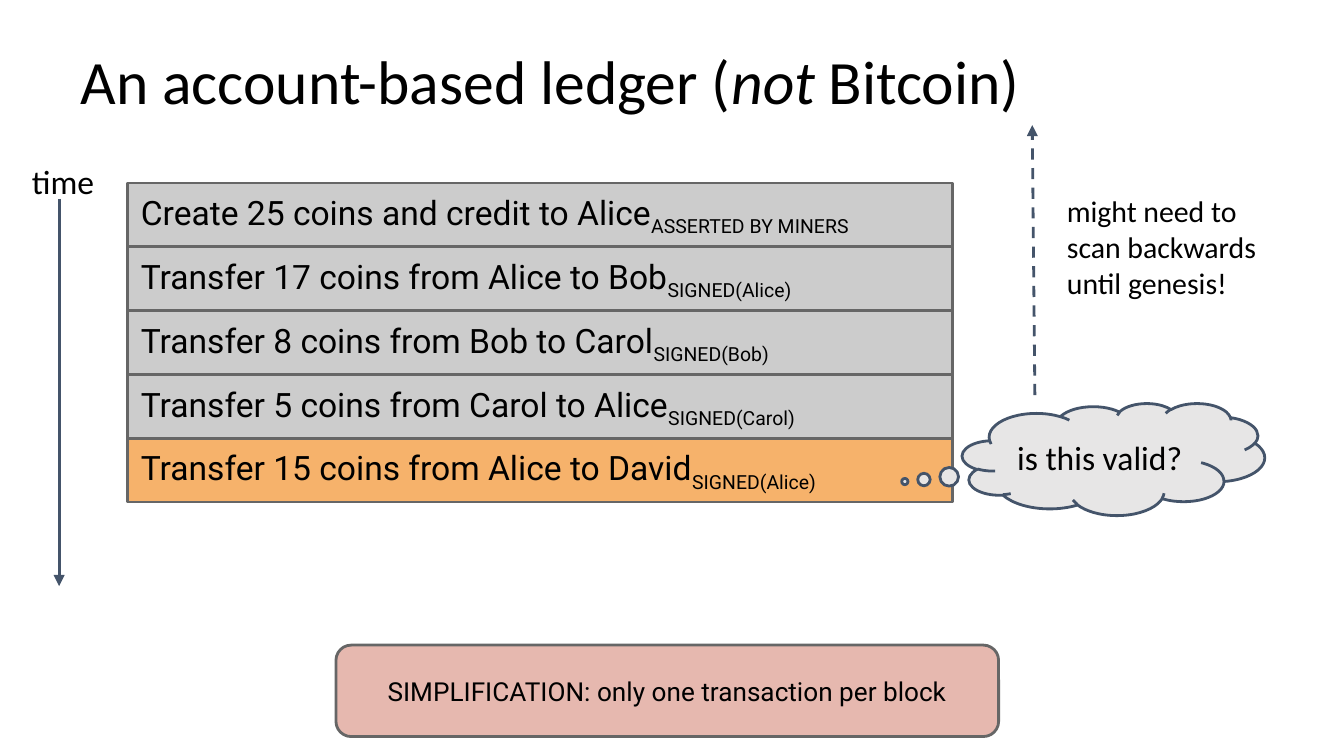
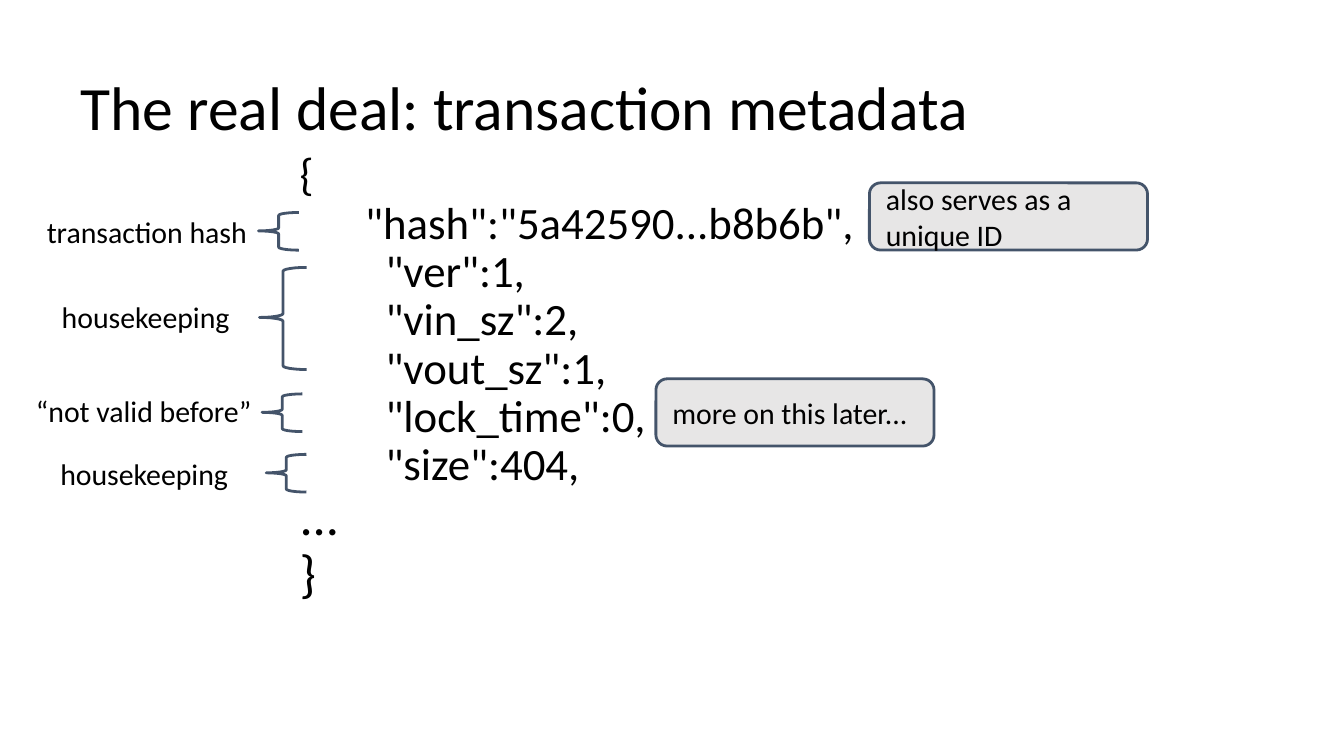
from dataclasses import dataclass
from typing import Optional

from lxml.etree import SubElement
from pptx import Presentation
from pptx.dml.color import RGBColor as Color
from pptx.enum.dml import MSO_LINE_DASH_STYLE as Dash
from pptx.enum.shapes import MSO_AUTO_SHAPE_TYPE as Preset
from pptx.enum.shapes import MSO_CONNECTOR_TYPE as Connector
from pptx.enum.text import MSO_ANCHOR as Anchor
from pptx.enum.text import MSO_AUTO_SIZE as AutoSize
from pptx.enum.text import PP_ALIGN as Align
from pptx.oxml.ns import qn
from pptx.presentation import Presentation as Deck
from pptx.shapes.autoshape import Shape
from pptx.slide import Slide
from pptx.text.text import TextFrame, _Paragraph as Paragraph
from pptx.util import Pt


@dataclass(frozen=True)
class Theme:
    text: Color = Color.from_string("000000")
    navy: Color = Color.from_string("44546A")
    border: Color = Color.from_string("666666")
    confirmed: Color = Color.from_string("CCCCCC")
    pending: Color = Color.from_string("F6B26B")
    remark: Color = Color.from_string("E6B8AF")
    bubble: Color = Color.from_string("E7E6E6")
    main_font: str = "Calibri"
    ledger_font: str = "Roboto"
    title_size: float = 33
    closing_size: float = 28
    code_size: float = 24
    large_size: float = 18
    label_size: float = 16
    remark_size: float = 14
    line_width: float = 1.5
    inset: float = 7.2
    tight_spacing: float = 0.9


THEME = Theme()


@dataclass(frozen=True)
class Area:
    left: float
    top: float
    width: float
    height: float

    def lengths(self) -> tuple[Pt, Pt, Pt, Pt]:
        return Pt(self.left), Pt(self.top), Pt(self.width), Pt(self.height)


@dataclass(frozen=True)
class Transaction:
    action: str
    proof: str
    fill: Color = THEME.confirmed


@dataclass(frozen=True)
class Label:
    text: str
    area: Area
    size: float = THEME.label_size


@dataclass(frozen=True)
class Arrow:
    start: tuple[float, float]
    end: tuple[float, float]
    dash: Optional[Dash] = None


TRANSACTIONS = [
    Transaction("Create 25 coins and credit to Alice", "ASSERTED BY MINERS"),
    Transaction("Transfer 17 coins from Alice to Bob", "SIGNED(Alice)"),
    Transaction("Transfer 8 coins from Bob to Carol", "SIGNED(Bob)"),
    Transaction("Transfer 5 coins from Carol to Alice", "SIGNED(Carol)"),
    Transaction("Transfer 15 coins from Alice to David", "SIGNED(Alice)", THEME.pending),
]
ROW_HEIGHT = 34.2

LEDGER_LABELS = [
    Label("time", Area(10, 79, 59, 27.5), THEME.large_size),
    Label("might need to scan backwards until genesis!", Area(564.5, 96, 122.5, 80)),
]
ARROWS = [
    Arrow((31.7, 106.5), (31.7, 314)),
    Arrow((554.4, 211.7), (553, 67), Dash.DASH),
]

METADATA = "\n".join([
    '{',
    '    "hash":"5a42590...b8b6b",',
    '      "ver":1,',
    '      "vin_sz":2,',
    '      "vout_sz":1,',
    '      "lock_time":0,',
    '      "size":404,',
])
CODE_PARTS = [
    (METADATA, THEME.code_size),
    ("...", THEME.closing_size),
    ("}", THEME.closing_size),
]
FIELD_LABELS = [
    Label("transaction hash", Area(18, 107.3, 124.6, 33)),
    Label("housekeeping", Area(26, 152.6, 116.6, 33)),
    Label("“not valid before”", Area(12.2, 203, 134, 36)),
    Label("housekeeping", Area(25.2, 236.9, 116.6, 33)),
]
BRACES = [
    Area(138.5, 113.8, 21.6, 20.2),
    Area(139, 143.3, 25.2, 54.7),
    Area(140.4, 211, 21.6, 20.2),
    Area(142.6, 243.4, 21.6, 20.2),
]
NOTES = [
    Label("also serves as a unique ID", Area(465.8, 98, 149, 36)),
    Label("more on this later...", Area(351.4, 203, 149, 36)),
]


# Shared text and shape styling
def prepare_frame(frame: TextFrame, anchor: Anchor) -> None:
    frame.word_wrap = True
    frame.auto_size = AutoSize.NONE
    frame.vertical_anchor = anchor
    frame.margin_left = frame.margin_right = Pt(THEME.inset)
    frame.margin_top = frame.margin_bottom = Pt(THEME.inset)


def format_spans(para: Paragraph, size: float, font: str = THEME.main_font) -> None:
    for span in para.runs:
        span.font.size = Pt(size)
        span.font.name = font
        span.font.color.rgb = THEME.text


def add_spans(para: Paragraph, texts: list[str]) -> None:
    for text in texts:
        para.add_run().text = text


def add_box(page: Slide, preset: Preset, area: Area, line: Color,
            fill: Optional[Color] = None) -> Shape:
    box = page.shapes.add_shape(preset, *area.lengths())
    box.shadow.inherit = False
    box.line.color.rgb = line
    box.line.width = Pt(THEME.line_width)
    if fill is None:
        box.fill.background()
    else:
        box.fill.solid()
        box.fill.fore_color.rgb = fill
    prepare_frame(box.text_frame, Anchor.MIDDLE)
    box.text_frame.paragraphs[0].alignment = Align.LEFT
    return box


def fill_text(box: Shape, text: str, size: float, font: str = THEME.main_font,
              align: Align = Align.LEFT) -> None:
    para = box.text_frame.paragraphs[0]
    para.text = text
    para.alignment = align
    format_spans(para, size, font)


def add_text_box(page: Slide, area: Area) -> Shape:
    box = page.shapes.add_textbox(*area.lengths())
    prepare_frame(box.text_frame, Anchor.TOP)
    return box


def add_label(page: Slide, label: Label) -> None:
    fill_text(add_text_box(page, label.area), label.text, label.size)


def add_arrow(page: Slide, arrow: Arrow) -> None:
    points = [Pt(value) for value in arrow.start + arrow.end]
    connector = page.shapes.add_connector(Connector.STRAIGHT, *points)
    connector.line.color.rgb = THEME.navy
    connector.line.width = Pt(THEME.line_width)
    if arrow.dash is not None:
        connector.line.dash_style = arrow.dash
    properties = connector._element.spPr
    SubElement(properties.find(qn("a:ln")), qn("a:tailEnd"), type="triangle")
    SubElement(properties, qn("a:effectLst"))


def add_page(deck: Deck, title_texts: list[str], title_area: Area) -> Slide:
    page = deck.slides.add_slide(deck.slide_layouts.get_by_name("Title Only"))
    title = page.shapes.title
    title.left, title.top, title.width, title.height = title_area.lengths()
    prepare_frame(title.text_frame, Anchor.BOTTOM)
    para = title.text_frame.paragraphs[0]
    para.alignment = Align.LEFT
    para.line_spacing = THEME.tight_spacing
    add_spans(para, title_texts)
    format_spans(para, THEME.title_size)
    return page


# Slide 1: ledger
def add_transaction(page: Slide, index: int, entry: Transaction) -> None:
    area = Area(68.4, 98 + index * ROW_HEIGHT, 442, ROW_HEIGHT)
    row = add_box(page, Preset.RECTANGLE, area, THEME.border, entry.fill)
    para = row.text_frame.paragraphs[0]
    add_spans(para, [entry.action, entry.proof])
    format_spans(para, THEME.large_size, THEME.ledger_font)
    para.runs[1]._r.get_or_add_rPr().set("baseline", "-25000")


def build_ledger(deck: Deck) -> None:
    page = add_page(deck, ["An account-based ledger (", "not", " Bitcoin)"],
                    Area(36, 3, 661, 67.5))
    page.shapes.title.text_frame.paragraphs[0].runs[1].font.italic = True

    for index, entry in enumerate(TRANSACTIONS):
        add_transaction(page, index, entry)
    for arrow in ARROWS:
        add_arrow(page, arrow)
    for label in LEDGER_LABELS:
        add_label(page, label)

    remark = add_box(page, Preset.ROUNDED_RECTANGLE, Area(180, 345.6, 355, 49),
                     THEME.border, THEME.remark)
    fill_text(remark, "SIMPLIFICATION: only one transaction per block",
              THEME.remark_size, THEME.ledger_font, Align.CENTER)

    question = add_box(page, Preset.CLOUD_CALLOUT, Area(515.5, 216, 162, 60),
                       THEME.navy, THEME.bubble)
    question.adjustments[0] = -0.69
    question.adjustments[1] = 0.2
    fill_text(question, "is this valid?", THEME.large_size)


# Slide 2: transaction metadata
def add_code(page: Slide) -> None:
    frame = add_text_box(page, Area(153.4, 74.2, 560, 326)).text_frame
    for index, (text, size) in enumerate(CODE_PARTS):
        para = frame.add_paragraph() if index else frame.paragraphs[0]
        para.text = text
        para.line_spacing = THEME.tight_spacing
        properties = para._p.get_or_add_pPr()
        properties.set("marL", str(Pt(13.5)))
        properties.set("indent", str(-Pt(13.5)))
        format_spans(para, size)


def build_metadata(deck: Deck) -> None:
    page = add_page(deck, ["The real deal: transaction metadata"],
                    Area(36, 16.5, 648, 67.5))
    add_code(page)
    for label in FIELD_LABELS:
        add_label(page, label)
    for area in BRACES:
        brace = add_box(page, Preset.LEFT_BRACE, area, THEME.navy)
        brace.adjustments[0] = 0.08
        brace.adjustments[1] = 0.49
    for note in NOTES:
        box = add_box(page, Preset.ROUNDED_RECTANGLE, note.area, THEME.navy, THEME.bubble)
        fill_text(box, note.text, note.size)


def main() -> None:
    deck = Presentation()
    deck.slide_width, deck.slide_height = Pt(720), Pt(405)
    build_ledger(deck)
    build_metadata(deck)
    deck.save("out.pptx")


if __name__ == "__main__":
    main()
